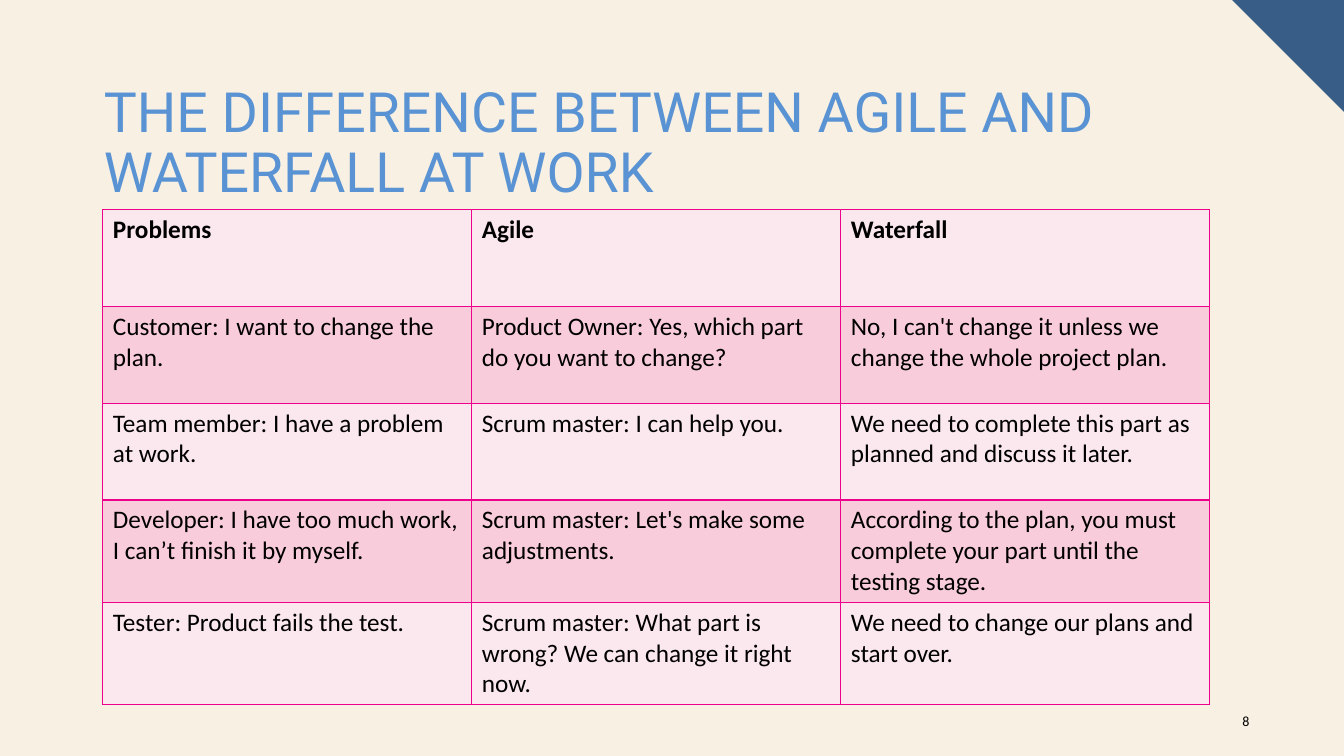
import pptx
import pptx.dml.color
import pptx.enum.text
import pptx.oxml
import pptx.oxml.ns
import pptx.util
from lxml import etree

Inches = pptx.util.Inches
Pt = pptx.util.Pt
RGBColor = pptx.dml.color.RGBColor
Align = pptx.enum.text.PP_ALIGN
Anchor = pptx.enum.text.MSO_ANCHOR

CREAM = RGBColor(0xF8, 0xF0, 0xE3)
NAVY = RGBColor(0x38, 0x5E, 0x88)
SKY = RGBColor(0x5A, 0x93, 0xD3)
BLACK = RGBColor(0, 0, 0)
MAGENTA = RGBColor(0xEC, 0x00, 0x8C)
ROW_FILLS = (RGBColor(0xFB, 0xE7, 0xEE), RGBColor(0xF8, 0xCC, 0xDA))

SLIDE_WIDTH, SLIDE_HEIGHT = 13.33, 7.5
CORNER_SIZE = 1.11
TITLE_BOX = (0.93, 0.79, 11.56, 1.27)
TABLE_BOX = (1.02, 2.08, 10.98, 4.8)
NUMBER_BOX = (11.99, 6.95, 0.5, 0.4)

TITLE = "THE DIFFERENCE BETWEEN AGILE AND WATERFALL AT WORK"
ANSWERS = [
    ("Problems", "Agile", "Waterfall"),
    ("Customer: I want to change the plan.",
     "Product Owner: Yes, which part do you want to change?",
     "No, I can't change it unless we change the whole project plan."),
    ("Team member: I have a problem at work.",
     "Scrum master: I can help you.",
     "We need to complete this part as planned and discuss it later."),
    ("Developer: I have too much work, I can’t finish it by myself.",
     "Scrum master: Let's make some adjustments.",
     "According to the plan, you must complete your part until the testing stage."),
    ("Tester: Product fails the test.",
     "Scrum master: What part is wrong? We can change it right now.",
     "We need to change our plans and start over."),
]


def write_text(frame, text, size=18, font="Calibri", color=BLACK, bold=False,
               align=Align.LEFT, anchor=Anchor.TOP, line_spacing=1.0):
    frame.word_wrap = True
    frame.vertical_anchor = anchor
    paragraph = frame.paragraphs[0]
    paragraph.alignment = align
    paragraph.line_spacing = line_spacing
    run = paragraph.add_run()
    run.text = text
    run.font.size = Pt(size)
    run.font.name = font
    run.font.bold = bold
    run.font.color.rgb = color


def add_corner(slide, size):
    """Fill the top right corner of the slide with a triangle."""
    left, right = Inches(SLIDE_WIDTH - size), Inches(SLIDE_WIDTH)
    builder = slide.shapes.build_freeform(left, 0)
    builder.add_line_segments([(right, 0), (right, Inches(size))], close=True)
    corner = builder.convert_to_shape()
    corner.shadow.inherit = False
    corner.fill.solid()
    corner.fill.fore_color.rgb = NAVY
    corner.line.fill.background()


def add_title(slide, box):
    title = slide.shapes.title
    title.left, title.top, title.width, title.height = map(Inches, box)
    frame = title.text_frame
    frame.auto_size = pptx.enum.text.MSO_AUTO_SIZE.NONE
    write_text(frame, TITLE, size=39.6, font="Roboto", color=SKY, line_spacing=0.9)


def add_borders(cell, color, width):
    properties = cell._tc.get_or_add_tcPr()
    for side in ("lnL", "lnR", "lnT", "lnB"):
        line = etree.SubElement(properties, pptx.oxml.ns.qn(f"a:{side}"), w=str(Pt(width)))
        fill = etree.SubElement(line, pptx.oxml.ns.qn("a:solidFill"))
        etree.SubElement(fill, pptx.oxml.ns.qn("a:srgbClr"), val=str(color))


def add_answer_table(slide, box):
    row_count, column_count = len(ANSWERS), len(ANSWERS[0])
    table = slide.shapes.add_table(row_count, column_count, *map(Inches, box)).table
    for row_index, answers in enumerate(ANSWERS):
        for column_index, answer in enumerate(answers):
            cell = table.cell(row_index, column_index)
            add_borders(cell, MAGENTA, 1)
            cell.fill.solid()
            cell.fill.fore_color.rgb = ROW_FILLS[row_index % 2]
            write_text(cell.text_frame, answer, bold=row_index == 0)


def add_slide_number(slide, box):
    number = slide.shapes.add_textbox(*map(Inches, box))
    write_text(number.text_frame, "8", size=10, align=Align.RIGHT, anchor=Anchor.MIDDLE)


def build_comparison_slide(presentation):
    slide = presentation.slides.add_slide(presentation.slide_layouts[5])
    slide.background.fill.solid()
    slide.background.fill.fore_color.rgb = CREAM
    add_corner(slide, CORNER_SIZE)
    add_title(slide, TITLE_BOX)
    add_answer_table(slide, TABLE_BOX)
    add_slide_number(slide, NUMBER_BOX)


def main():
    presentation = pptx.Presentation()
    presentation.slide_width = Inches(SLIDE_WIDTH)
    presentation.slide_height = Inches(SLIDE_HEIGHT)
    build_comparison_slide(presentation)
    presentation.save("out.pptx")


if __name__ == "__main__":
    main()
